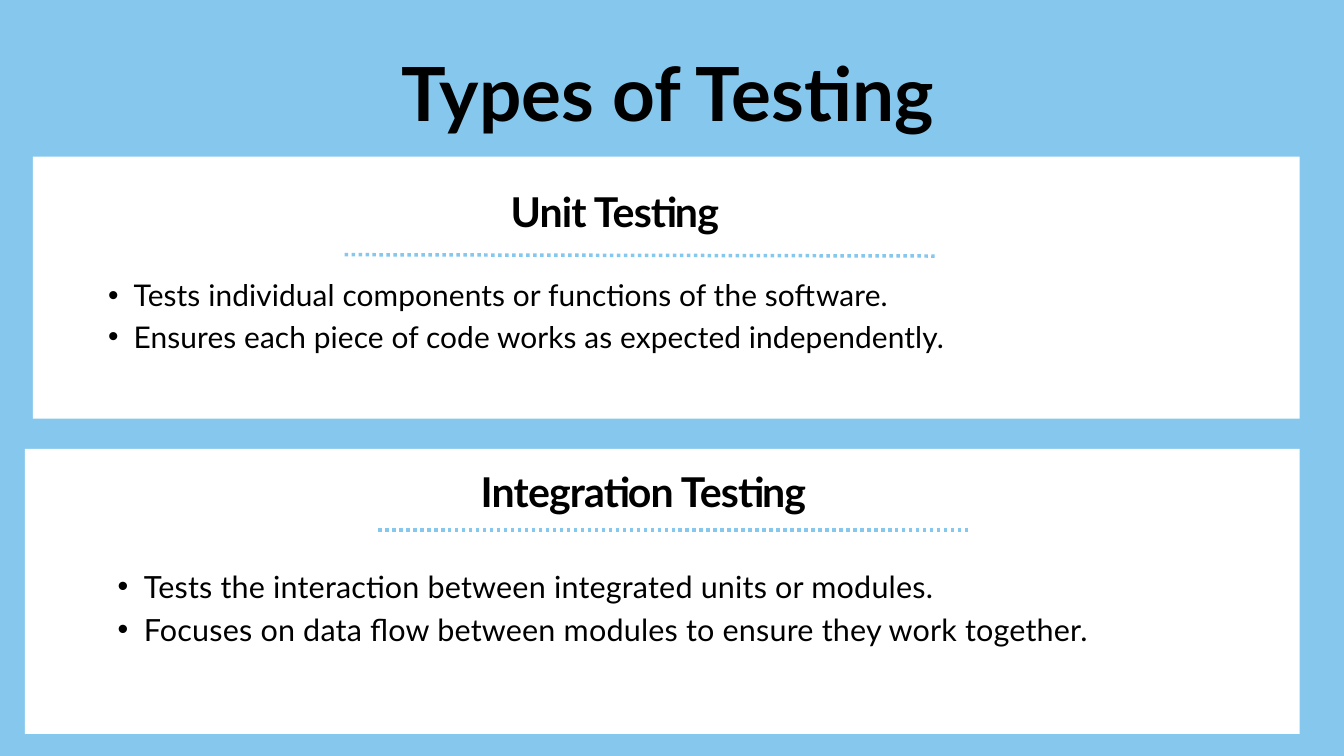
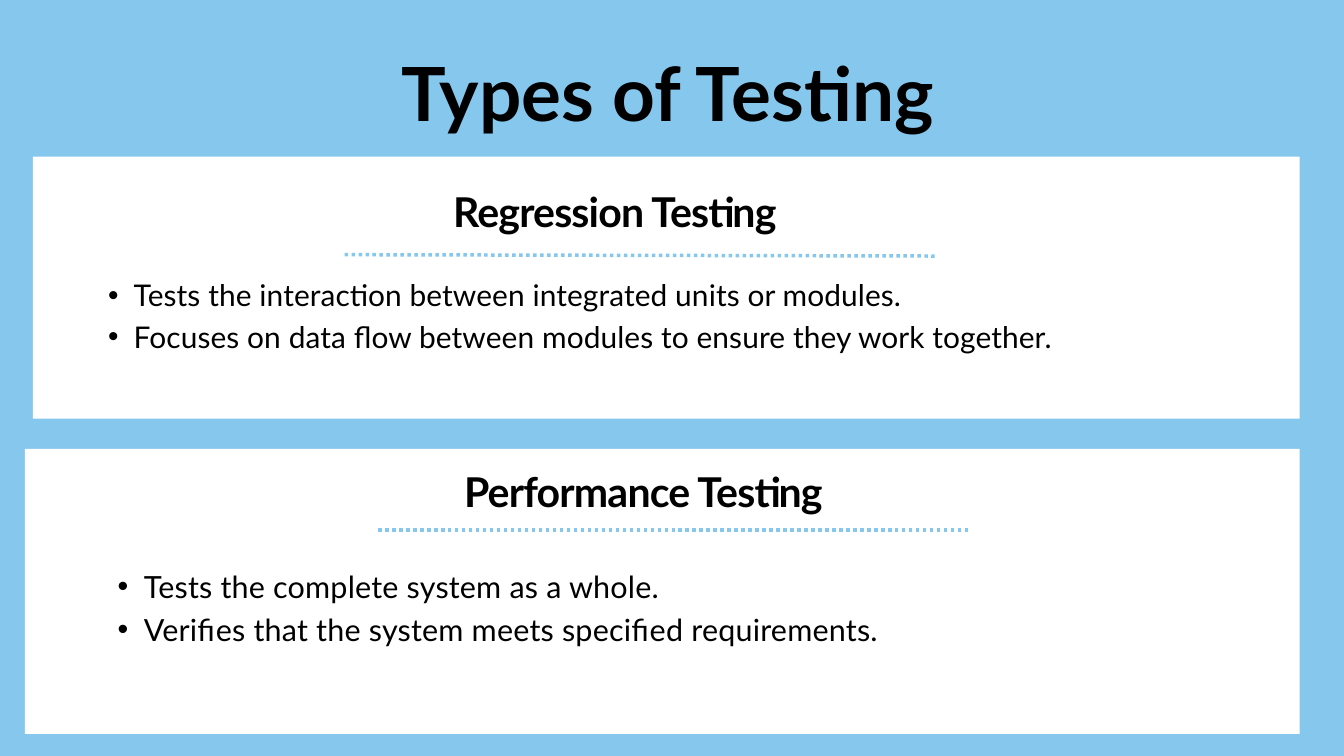
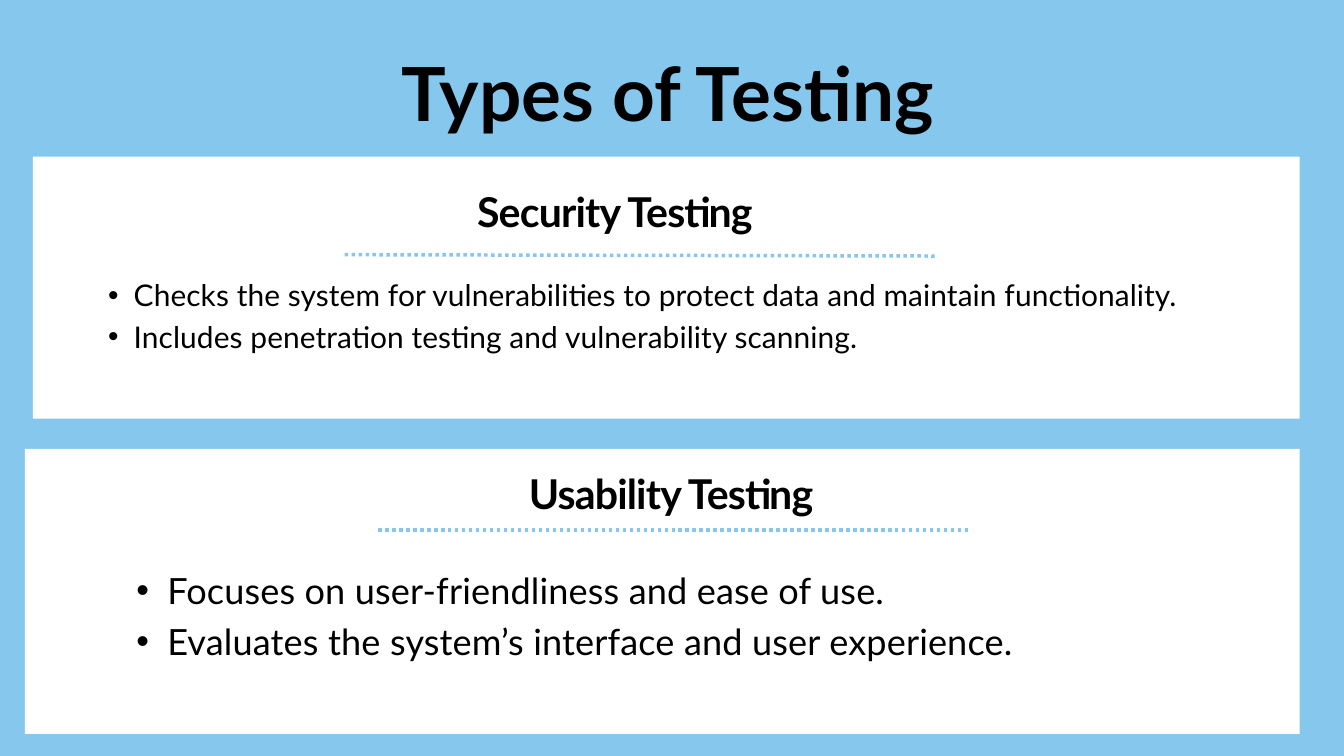
from lxml.etree import SubElement
from pptx import Presentation
from pptx.dml.color import RGBColor
from pptx.enum.dml import MSO_LINE
from pptx.enum.shapes import MSO_CONNECTOR, MSO_SHAPE
from pptx.enum.text import MSO_ANCHOR as Anchor, MSO_AUTO_SIZE as AutoSize, PP_ALIGN as Align
from pptx.oxml.ns import qn
from pptx.util import Emu, Pt

PX = 9144
COLORS = {"sky": "86C7ED", "panel": "FFFFFF", "ink": "000000"}
FONT = "Lato"
COMPARISON_LAYOUT = 4
SLIDE_SIZE = (2000, 1125)

TITLE = "Types of Testing"
TITLE_BOX = (157, 81, 1673, 126)
PANELS = [(49, 233, 1885, 390), (37, 668, 1897, 424)]
DIVIDERS = [(1391, 381, 509, 379), (1441, 789, 559, 789)]

TITLE_STYLE = {"size": 80, "leading": 1.1, "tracking": 0, "bold": True, "align": Align.CENTER}
HEADING_STYLE = {"size": 44, "leading": 1.3, "tracking": -90, "bold": True, "align": Align.CENTER}
LIST_STYLE = {"leading": 1.4, "bold": False, "align": Align.LEFT}
UPPER_LIST = {**LIST_STYLE, "size": 32, "tracking": 10}
LOWER_LIST = {**LIST_STYLE, "size": 32.7, "tracking": 20}
LARGE_LIST = {**LIST_STYLE, "size": 38.7, "tracking": 20}

UPPER = {"heading_box": (596, 272, 638, 78), "list_box": (123, 403, 1722, 173), "list_style": UPPER_LIST}
LOWER = {"heading_box": (596, 688, 723, 78), "list_box": (136, 836, 1695, 188), "list_style": LOWER_LIST}
LOWER_LARGE = {"heading_box": (637, 691, 723, 78), "list_box": (157, 835, 1608, 222), "list_style": LARGE_LIST}

INTEGRATION_POINTS = [
    "Tests the interaction between integrated units or modules.",
    "Focuses on data flow between modules to ensure they work together.",
]
SLIDES = [
    [
        (UPPER, "Unit Testing", [
            "Tests individual components or functions of the software.",
            "Ensures each piece of code works as expected independently.",
        ]),
        (LOWER, "Integration Testing", INTEGRATION_POINTS),
    ],
    [
        (UPPER, "Regression Testing", INTEGRATION_POINTS),
        (LOWER, "Performance Testing", [
            "Tests the complete system as a whole.",
            "Verifies that the system meets specified requirements.",
        ]),
    ],
    [
        (UPPER, "Security Testing", [
            "Checks the system for vulnerabilities to protect data and maintain functionality.",
            "Includes penetration testing and vulnerability scanning.",
        ]),
        (LOWER_LARGE, "Usability Testing", [
            "Focuses on user-friendliness and ease of use.",
            "Evaluates the system’s interface and user experience.",
        ]),
    ],
]


def px(*lengths):
    return [Emu(length * PX) for length in lengths]


def color(name):
    return RGBColor.from_string(COLORS[name])


def assign(target, values):
    for name, value in values.items():
        setattr(target, name, value)


class Deck:
    def __init__(self):
        self.presentation = Presentation()
        self.presentation.slide_width, self.presentation.slide_height = px(*SLIDE_SIZE)
        background = self.presentation.slide_master.background.fill
        background.solid()
        background.fore_color.rgb = color("sky")
        self.slide = None

    def add_slide(self):
        layout = self.presentation.slide_layouts[COMPARISON_LAYOUT]
        self.slide = self.presentation.slides.add_slide(layout)

    def panel(self, box, layer):
        shape = self.slide.shapes.add_shape(MSO_SHAPE.RECTANGLE, *px(*box))
        shape.shadow.inherit = False
        shape.fill.solid()
        shape.fill.fore_color.rgb = color("panel")
        shape.line.fill.background()
        self.slide.shapes.element.insert(2 + layer, shape.element)

    def divider(self, ends):
        connector = self.slide.shapes.add_connector(MSO_CONNECTOR.STRAIGHT, *px(*ends))
        connector.line.color.rgb = color("sky")
        assign(connector.line, {"width": Pt(3.75), "dash_style": MSO_LINE.ROUND_DOT})
        SubElement(connector.element.spPr, qn("a:effectLst"))

    def text(self, index, box, lines, style):
        shape = self.slide.placeholders[index]
        assign(shape, dict(zip(("left", "top", "width", "height"), px(*box))))
        frame = shape.text_frame
        frame.text = "\n".join(lines)
        margins = dict.fromkeys(("margin_left", "margin_top", "margin_right", "margin_bottom"), 0)
        assign(frame, {**margins, "word_wrap": True, "vertical_anchor": Anchor.TOP,
                       "auto_size": AutoSize.SHAPE_TO_FIT_TEXT})
        for paragraph in frame.paragraphs:
            assign(paragraph, {"alignment": style["align"], "space_before": Pt(0),
                               "line_spacing": Pt(round(style["size"] * style["leading"], 1))})
            font = paragraph.runs[0].font
            assign(font, {"name": FONT, "size": Pt(style["size"]), "bold": style["bold"]})
            font.color.rgb = color("ink")
        for properties in shape.element.iter(qn("a:rPr")):
            properties.set("spc", str(style["tracking"]))
        return shape

    def bullets(self, index, box, lines, style):
        shape = self.text(index, box, lines, style)
        hang = round(style["size"] * 1.19)
        for paragraph in shape.text_frame.paragraphs:
            paragraph.level = 1
        for properties in shape.element.iter(qn("a:pPr")):
            properties.set("marL", str(2 * hang * PX))
            properties.set("indent", str(-hang * PX))
            SubElement(properties, qn("a:buFont"), typeface="Arial")
            SubElement(properties, qn("a:buChar"), char="•")


def main():
    deck = Deck()
    for sections in SLIDES:
        deck.add_slide()
        for layer, box in enumerate(PANELS):
            deck.panel(box, layer)
        deck.text(0, TITLE_BOX, [TITLE], TITLE_STYLE)
        for position, (section, heading, points) in enumerate(sections):
            heading_index = 1 + 2 * position
            deck.text(heading_index, section["heading_box"], [heading], HEADING_STYLE)
            deck.bullets(heading_index + 1, section["list_box"], points, section["list_style"])
        for ends in DIVIDERS:
            deck.divider(ends)
    deck.presentation.save("out.pptx")


if __name__ == "__main__":
    main()
